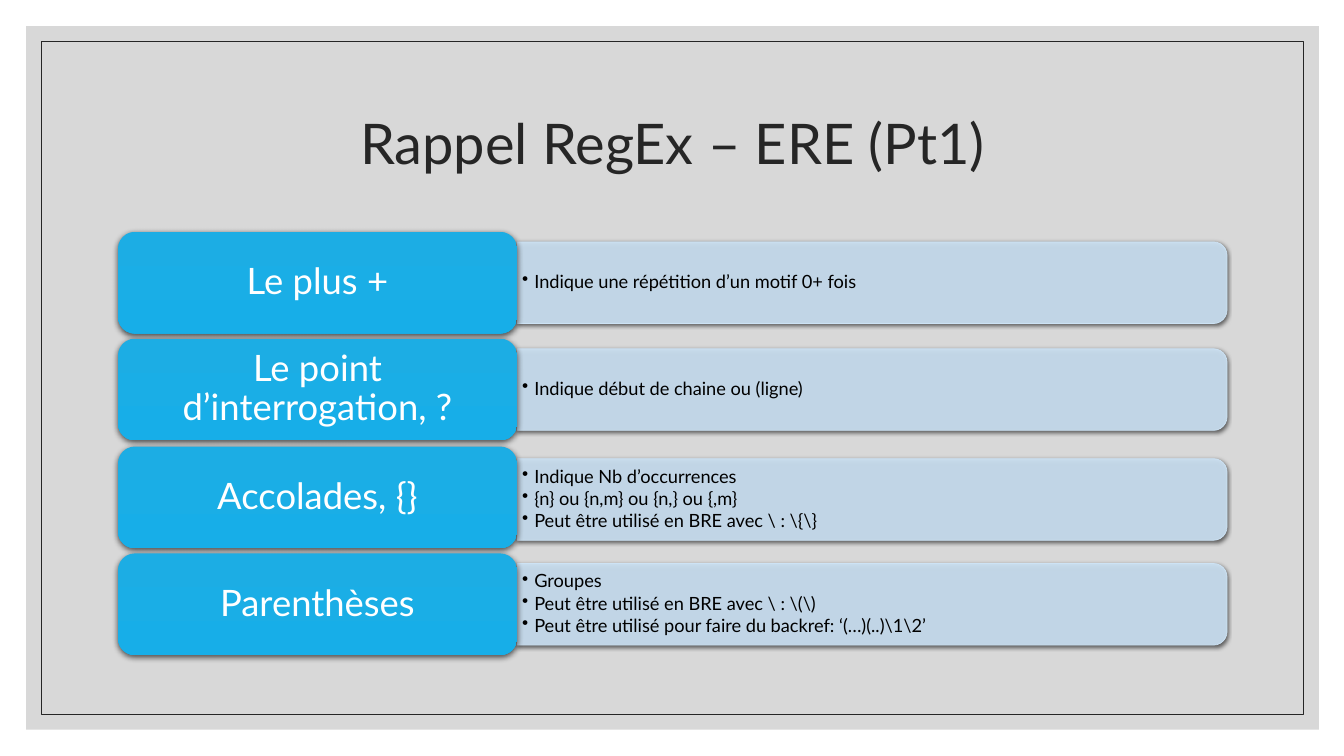
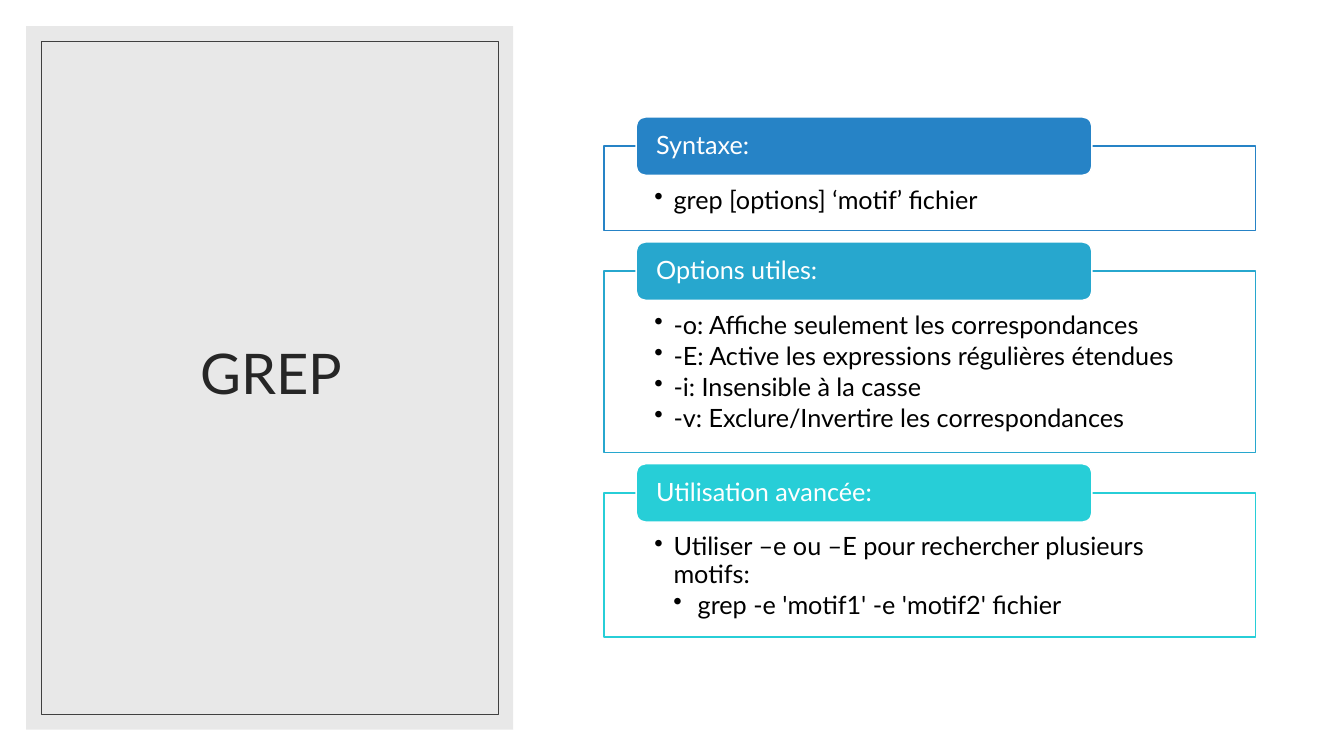
from dataclasses import dataclass
from typing import NamedTuple

from lxml import etree
from pptx import Presentation
from pptx.dml.color import RGBColor
from pptx.enum import shapes, text
from pptx.oxml import ns
from pptx.shapes.autoshape import Shape
from pptx.slide import Slide
from pptx.util import Emu, Pt

EMU_PER_PX = 9144


def px(length: float) -> Emu:
    return Emu(round(length * EMU_PER_PX))


@dataclass(frozen=True)
class Theme:
    font: str = "Lato"
    title_size: int = 40
    card_size: int = 26
    section_size: int = 18
    detail_size: int = 13
    white: str = "FFFFFF"
    black: str = "000000"
    ink: str = "262626"
    border: str = "404040"
    wide_panel: str = "BFBFBF"
    side_panel: str = "D9D9D9"
    bar: str = "CDE3F5"
    card_top: str = "1CADE4"
    card_bottom: str = "17AEE8"
    syntax: str = "2683C6"
    options: str = "27A7CE"
    advanced: str = "27CED7"


THEME = Theme()
KIND = shapes.MSO_SHAPE
ALIGN = text.PP_ALIGN
ANCHOR = text.MSO_ANCHOR


class Box(NamedTuple):
    left: float
    top: float
    width: float
    height: float

    def inset(self, margin: int) -> "Box":
        return Box(self.left + margin, self.top + margin,
                   self.width - 2 * margin, self.height - 2 * margin)


class Line(NamedTuple):
    words: str
    indent: int = 0
    hang: int = 0


@dataclass(frozen=True)
class TextStyle:
    size: int
    color: str
    insets: tuple[int, int, int, int]
    align: ALIGN = ALIGN.LEFT
    anchor: ANCHOR = ANCHOR.MIDDLE
    space_after: float = 0


@dataclass(frozen=True)
class Row:
    label: str
    details: tuple[str, ...]
    nudge: int = 0


@dataclass(frozen=True)
class Section:
    label: str
    color: str
    height: int
    lines: tuple[Line, ...]


TITLE = TextStyle(THEME.title_size, THEME.ink, (10, 5, 10, 5), ALIGN.CENTER)
CARD = TextStyle(THEME.card_size, THEME.white, (11, 5, 11, 5), ALIGN.CENTER)
DETAIL = TextStyle(THEME.detail_size, THEME.black, (5, 3, 5, 3), space_after=0.15)
HEADING = TextStyle(THEME.section_size, THEME.white, (17, 0, 17, 0))
BODY = TextStyle(THEME.section_size, THEME.black, (50, 41, 50, 14),
                 anchor=ANCHOR.TOP, space_after=0.15)

ROWS = (
    Row("Le plus +", ("Indique une répétition d’un motif 0+ fois",)),
    Row("Le point d’interrogation, ?", ("Indique début de chaine ou (ligne)",)),
    Row("Accolades, {}", (
        "Indique Nb d’occurrences",
        "{n} ou {n,m} ou {n,} ou {,m}",
        "Peut être utilisé en BRE avec \\ : \\{\\}",
    ), nudge=2),
    Row("Parenthèses", (
        "Groupes",
        "Peut être utilisé en BRE avec \\ : \\(\\)",
        "Peut être utilisé pour faire du backref: ‘(…)(..)\\1\\2’",
    )),
)

SECTIONS = (
    Section("Syntaxe:", THEME.syntax, 84,
            (Line("grep [options] ‘motif’ fichier", 19, 19),)),
    Section("Options utiles:", THEME.options, 180, (
        Line("-o: Affiche seulement les correspondances", 19, 19),
        Line("-E: Active les expressions régulières étendues", 19, 19),
        Line("-i: Insensible à la casse", 19, 19),
        Line("-v: Exclure/Invertire les correspondances", 19, 19),
    )),
    Section("Utilisation avancée:", THEME.advanced, 143, (
        Line("Utiliser –e ou –E pour rechercher plusieurs motifs:", 19, 19),
        Line("grep -e 'motif1' -e 'motif2' fichier", 43, 24),
    )),
)


def rgb(color: str) -> RGBColor:
    return RGBColor.from_string(color)


def add_shape(slide: Slide, kind: KIND, box: Box, fill: str = "",
              line: str = "", line_width: float = 0.5) -> Shape:
    shape = slide.shapes.add_shape(kind, *map(px, box))
    shape.shadow.inherit = False
    if fill:
        shape.fill.solid()
        shape.fill.fore_color.rgb = rgb(fill)
    else:
        shape.fill.background()
    if line:
        shape.line.color.rgb = rgb(line)
        shape.line.width = Pt(line_width)
    else:
        shape.line.fill.background()
    return shape


def set_opacity(color: etree._Element, percent: int) -> None:
    etree.SubElement(color, ns.qn("a:alpha"), val=str(percent * 1000))


def set_fill_opacity(shape: Shape, percent: int) -> None:
    fill = shape.element.spPr.find(ns.qn("a:solidFill"))
    set_opacity(fill[0], percent)


def add_shadow(shape: Shape, blur: float, distance: float) -> None:
    effects = shape.element.spPr.find(ns.qn("a:effectLst"))
    shadow = etree.SubElement(
        effects, ns.qn("a:outerShdw"), blurRad=str(Pt(blur)),
        dist=str(Pt(distance)), dir="5400000", rotWithShape="0")
    color = etree.SubElement(shadow, ns.qn("a:srgbClr"), val=THEME.black)
    set_opacity(color, 63)


def write_text(shape: Shape, lines: tuple[Line, ...], style: TextStyle) -> None:
    frame = shape.text_frame
    frame.word_wrap = True
    frame.vertical_anchor = style.anchor
    (frame.margin_left, frame.margin_top,
     frame.margin_right, frame.margin_bottom) = map(px, style.insets)
    for index, line in enumerate(lines):
        paragraph = frame.add_paragraph() if index else frame.paragraphs[0]
        paragraph.alignment = style.align
        paragraph.line_spacing = 0.9
        paragraph.space_after = Pt(round(style.size * style.space_after, 1))
        if line.hang:
            properties = paragraph._p.get_or_add_pPr()
            properties.set("marL", str(px(line.indent)))
            properties.set("indent", str(px(-line.hang)))
            etree.SubElement(properties, ns.qn("a:buChar"), char="•")
        run = paragraph.add_run()
        run.text = line.words
        run.font.name = THEME.font
        run.font.size = Pt(style.size)
        run.font.color.rgb = rgb(style.color)


def add_text(slide: Slide, box: Box, lines: tuple[Line, ...], style: TextStyle) -> None:
    write_text(slide.shapes.add_textbox(*map(px, box)), lines, style)


def add_titled_panel(slide: Slide, title: str, panel_width: int, fill: str,
                     border: str, title_box: Box) -> None:
    panel = Box(26, 26, panel_width, 698)
    set_fill_opacity(add_shape(slide, KIND.RECTANGLE, panel, fill), 60)
    add_shape(slide, KIND.RECTANGLE, panel.inset(15), line=border)
    add_text(slide, title_box, (Line(title),), TITLE)


def add_row(slide: Slide, row: Row, top: int) -> None:
    card_box = Box(117, top, 396, 101)
    bar_left, bar_width, bar_height = 513, 704, 81
    middle = top + card_box.height / 2 + row.nudge
    bar = add_shape(
        slide, KIND.ROUND_2_SAME_RECTANGLE,
        Box(bar_left + (bar_width - bar_height) / 2, middle - bar_width / 2,
            bar_height, bar_width),
        THEME.bar, THEME.bar)
    bar.rotation = 90
    set_fill_opacity(bar, 90)
    add_shadow(bar, 3, 1)
    add_text(slide, Box(bar_left, middle - 36.5, 700, 73),
             tuple(Line(detail, 12, 12) for detail in row.details), DETAIL)

    card = add_shape(slide, KIND.ROUNDED_RECTANGLE, card_box)
    card.fill.gradient()
    card.fill.gradient_angle = 270
    for stop, color in zip(card.fill.gradient_stops, (THEME.card_top, THEME.card_bottom)):
        stop.color.rgb = rgb(color)
    add_shadow(card, 4.5, 1.5)
    write_text(card, (Line(row.label),), CARD)


def add_section(slide: Slide, section: Section, top: int) -> None:
    frame = add_shape(slide, KIND.RECTANGLE, Box(599, top, 646, section.height),
                      THEME.white, section.color, 1)
    write_text(frame, section.lines, BODY)
    heading = add_shape(slide, KIND.ROUNDED_RECTANGLE, Box(631, top - 29, 452, 58),
                        section.color, THEME.white, 1)
    write_text(heading, (Line(section.label),), HEADING)


def build_regex_slide(slide: Slide) -> None:
    add_titled_panel(slide, "Rappel RegEx – ERE (Pt1)", 1282, THEME.wide_panel,
                     THEME.ink, Box(117, 70, 1100, 150))
    for index, row in enumerate(ROWS):
        add_row(slide, row, round(230 + 106.4 * index))


def build_grep_slide(slide: Slide) -> None:
    add_titled_panel(slide, "GREP", 483, THEME.side_panel, THEME.border,
                     Box(63, 61, 412, 624))
    top, gap = 145, 40
    for section in SECTIONS:
        add_section(slide, section, top)
        top += section.height + gap


def main() -> None:
    presentation = Presentation()
    presentation.slide_width = px(1333)
    presentation.slide_height = px(750)
    blank = presentation.slide_layouts[6]
    for build in (build_regex_slide, build_grep_slide):
        build(presentation.slides.add_slide(blank))
    presentation.save("out.pptx")


if __name__ == "__main__":
    main()
